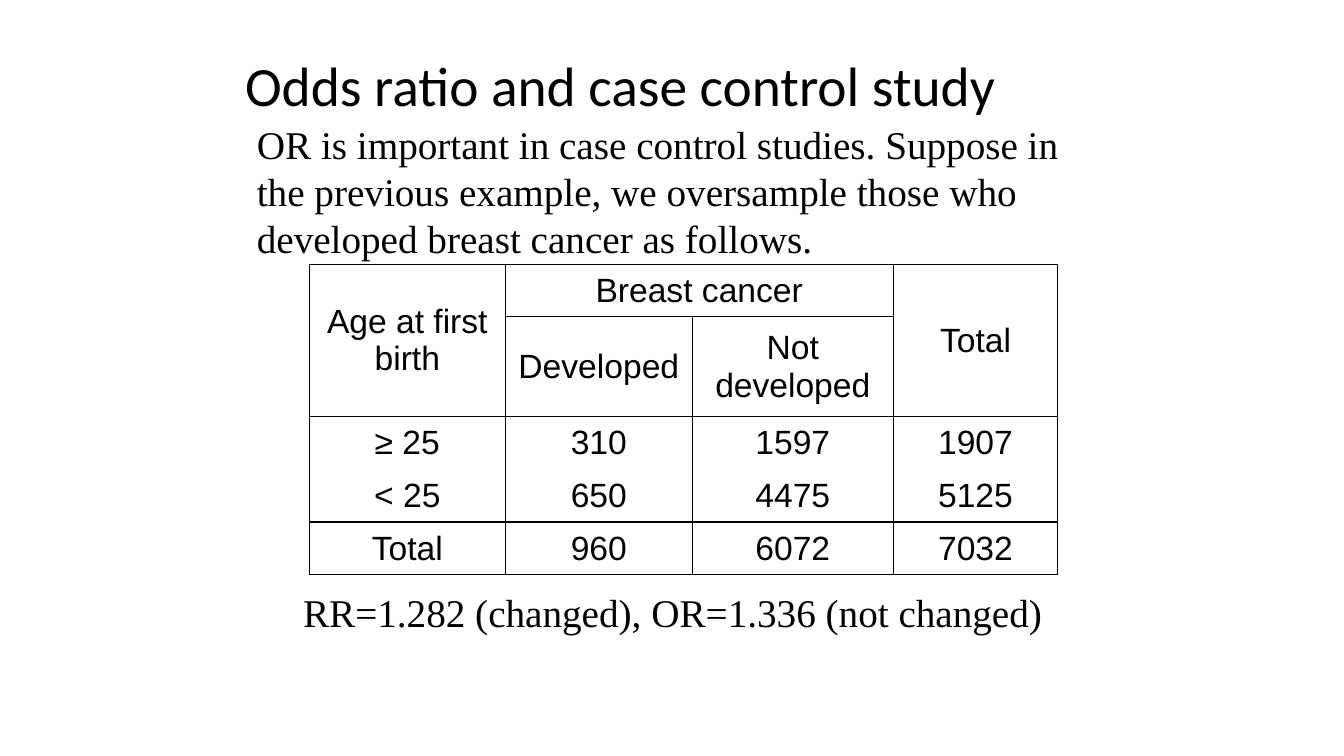
from lxml.etree import SubElement
from pptx import Presentation
from pptx.dml.color import RGBColor
from pptx.enum.text import MSO_ANCHOR as Anchor, PP_ALIGN as Align
from pptx.oxml.ns import qn
from pptx.util import Inches, Pt

BLACK = RGBColor(0x00, 0x00, 0x00)
COLUMNS, ROWS = 160, 90  # grid laid over the slide


class Page:
    """Holds the text style, the grid and the current slide."""
    title_font, body_font, table_font = "Calibri", "Times New Roman", "Arial"
    title_size, body_size, table_size = 39.6, 28, 24

    def __init__(self, deck):
        self.slide = deck.slides.add_slide(deck.slide_layouts[6])
        self.column = deck.slide_width / COLUMNS
        self.row = deck.slide_height / ROWS

    def place(self, left, top, width, height):
        return (round(left * self.column), round(top * self.row),
                round(width * self.column), round(height * self.row))

    def style(self, para, name, size):
        para.font.name, para.font.size = name, Pt(size)
        para.font.color.rgb = BLACK

    def text(self, words, area, name, size, anchor=Anchor.TOP):
        frame = self.slide.shapes.add_textbox(*self.place(*area)).text_frame
        frame.word_wrap = True
        frame.vertical_anchor = anchor
        para = frame.paragraphs[0]
        para.text = words
        self.style(para, name, size)
        return para

    def title(self, words, area):
        para = self.text(words, area, self.title_font, self.title_size, Anchor.MIDDLE)
        para.line_spacing = 0.9

    def body(self, words, area):
        para = self.text(words, area, self.body_font, self.body_size)
        para.space_after = Pt(6)

    def borders(self, cell, hidden):
        properties = cell._tc.get_or_add_tcPr()
        for index, side in enumerate("LRTB"):
            line = SubElement(properties, qn(f"a:ln{side}"), w=str(Pt(1)))
            properties.insert(index, line)
            if side == hidden:
                SubElement(line, qn("a:noFill"))
            else:
                fill = SubElement(line, qn("a:solidFill"))
                SubElement(fill, qn("a:srgbClr"), val=str(BLACK))

    def table(self, values, corner, widths, heights, merges, open_sides):
        area = self.place(*corner, sum(widths), sum(heights))
        table = self.slide.shapes.add_table(len(heights), len(widths), *area).table
        table.first_row = table.horz_banding = False
        for column, width in zip(table.columns, widths):
            column.width = round(width * self.column)
        for row, height in zip(table.rows, heights):
            row.height = round(height * self.row)
        for r, line in enumerate(values):
            for c, words in enumerate(line):
                cell = table.cell(r, c)
                cell.vertical_anchor = Anchor.MIDDLE
                cell.fill.background()
                self.borders(cell, open_sides.get(r))
                para = cell.text_frame.paragraphs[0]
                para.text = words
                para.alignment = Align.CENTER
                self.style(para, self.table_font, self.table_size)
        for first, last in merges:
            table.cell(*first).merge(table.cell(*last))


deck = Presentation()
deck.slide_width, deck.slide_height = Inches(13.33), Inches(7.5)
page = Page(deck)

# Title
page.title("Odds ratio and case control study", (28, 7, 103, 7))

# Case control table; no rule between the two age groups
counts = [
    ["Age at first birth", "Breast cancer", "", "Total"],
    ["", "Developed", "Not developed", ""],
    ["≥ 25", "310", "1597", "1907"],
    ["< 25", "650", "4475", "5125"],
    ["Total", "960", "6072", "7032"],
]
page.table(counts, corner=(36.84, 31.44),
           widths=[23.3, 22.3, 23.9, 19.6],
           heights=[6.27, 11.9] + [6.27] * 3,
           merges=[((0, 0), (1, 0)), ((0, 1), (0, 2)), ((0, 3), (1, 3))],
           open_sides={2: "B", 3: "T"})

# Result and introduction
page.body("RR=1.282 (changed), OR=1.336 (not changed)", (34.9, 69.4, 96, 7))
page.body("OR is important in case control studies. Suppose in the previous "
          "example, we oversample those who developed breast cancer as follows.",
          (29.4, 13.7, 102, 17))

deck.save("out.pptx")
